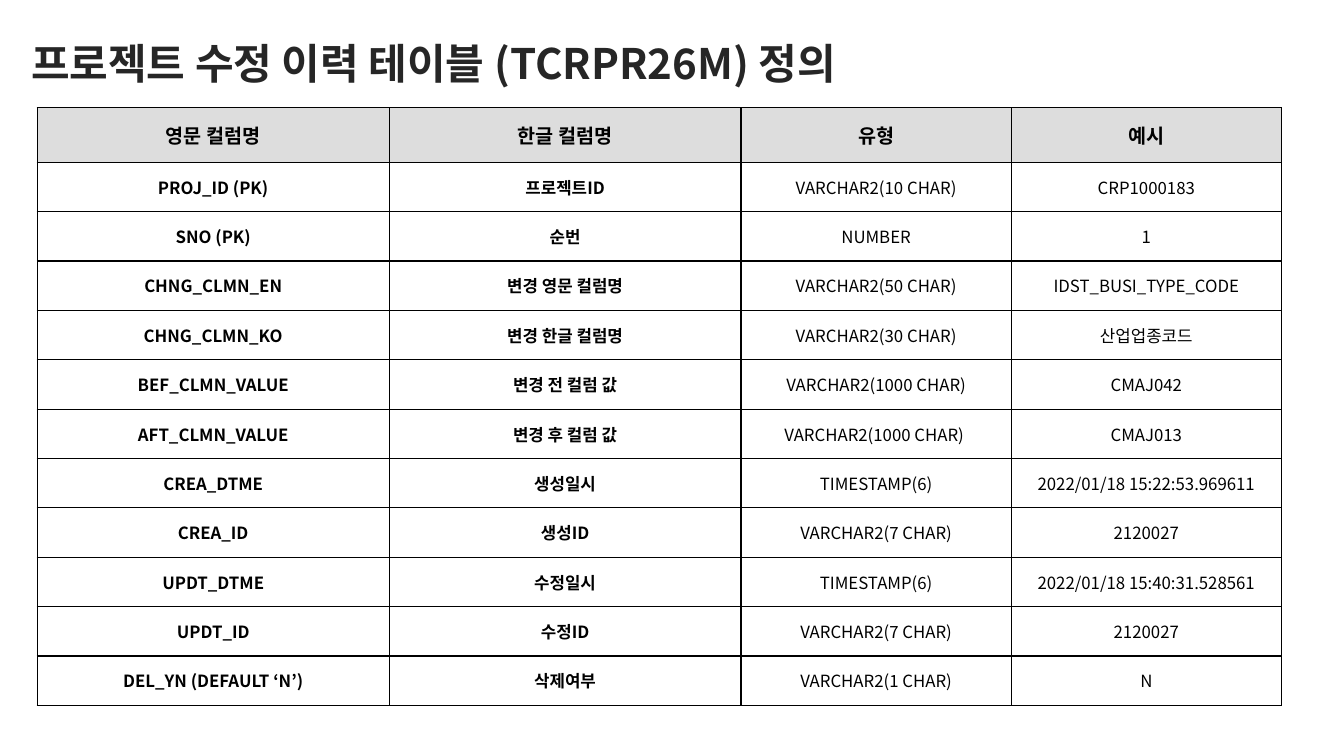
import pptx
import pptx.util
import pptx.dml.color
import pptx.enum.text
import pptx.oxml
import pptx.oxml.ns
import lxml.etree

Inches = pptx.util.Inches
FONT = "Noto Sans CJK KR"
COLUMN_WIDTHS = [3.49, 3.49, 2.68, 2.68]
HEADER_HEIGHT, ROW_HEIGHT = 0.54, 0.49
ROWS = [
    ("영문 컬럼명", "한글 컬럼명", "유형", "예시"),
    ("PROJ_ID (PK)", "프로젝트ID", "VARCHAR2(10 CHAR)", "CRP1000183"),
    ("SNO (PK)", "순번", "NUMBER", "1"),
    ("CHNG_CLMN_EN", "변경 영문 컬럼명", "VARCHAR2(50 CHAR)", "IDST_BUSI_TYPE_CODE"),
    ("CHNG_CLMN_KO", "변경 한글 컬럼명", "VARCHAR2(30 CHAR)", "산업업종코드"),
    ("BEF_CLMN_VALUE", "변경 전 컬럼 값", "VARCHAR2(1000 CHAR)", "CMAJ042"),
    ("AFT_CLMN_VALUE", "변경 후 컬럼 값", "VARCHAR2(1000 CHAR) ", "CMAJ013"),
    ("CREA_DTME", "생성일시", "TIMESTAMP(6)", "2022/01/18 15:22:53.969611"),
    ("CREA_ID", "생성ID", "VARCHAR2(7 CHAR)", "2120027"),
    ("UPDT_DTME", "수정일시", "TIMESTAMP(6)", "2022/01/18 15:40:31.528561"),
    ("UPDT_ID", "수정ID", "VARCHAR2(7 CHAR)", "2120027"),
    ("DEL_YN (DEFAULT ‘N’)", "삭제여부", "VARCHAR2(1 CHAR)", "N"),
]


def rgb(value):
    """Turn a hex string into a colour."""
    return pptx.dml.color.RGBColor.from_string(value)


class Deck:
    """Hold the style and the current slide."""

    def __init__(self, s, font):
        """Keep the slide and the font."""
        self.s = s
        self.font = font

    def put_text(self, tf, text, size, color, bold):
        """Fill a text frame with one styled paragraph."""
        tf.text = text
        p = tf.paragraphs[0]
        for r in p.runs:
            r.font.name = self.font
            r.font.size = pptx.util.Pt(size)
            r.font.bold = bold
            r.font.color.rgb = rgb(color)
            ea = lxml.etree.SubElement(r.font._element, pptx.oxml.ns.qn("a:ea"))
            ea.set("typeface", self.font)
        return p

    def title(self, text, left, top, width, height):
        """Add the slide heading."""
        sp = self.s.shapes.add_textbox(Inches(left), Inches(top), Inches(width), Inches(height))
        tf = sp.text_frame
        tf.word_wrap = True
        tf.vertical_anchor = pptx.enum.text.MSO_ANCHOR.MIDDLE
        self.put_text(tf, text, 30, "262626", True)

    def border(self, cell, color, width):
        """Draw a line on all four sides of a cell."""
        tcPr = cell._tc.get_or_add_tcPr()
        for side in ("lnL", "lnR", "lnT", "lnB"):
            tcPr.append(pptx.oxml.parse_xml(
                f'<a:{side} {pptx.oxml.ns.nsdecls("a")} w="{pptx.util.Pt(width)}">'
                f'<a:solidFill><a:srgbClr val="{color}"/></a:solidFill></a:{side}>'))

    def table(self, rows, left, top, widths, header_height, row_height):
        """Add a bordered table with a shaded header row."""
        height = header_height + row_height * (len(rows) - 1)
        table = self.s.shapes.add_table(
            len(rows), len(widths), Inches(left), Inches(top),
            Inches(sum(widths)), Inches(height)).table
        for column, width in zip(table.columns, widths):
            column.width = Inches(width)
        for i, values in enumerate(rows):
            header = i == 0
            table.rows[i].height = Inches(header_height if header else row_height)
            for j, value in enumerate(values):
                cell = table.cell(i, j)
                p = self.put_text(cell.text_frame, value, 14 if header else 12,
                                  "000000", header or j < 2)
                p.alignment = pptx.enum.text.PP_ALIGN.CENTER
                cell.vertical_anchor = pptx.enum.text.MSO_ANCHOR.MIDDLE
                self.border(cell, "000000", 1)
                cell.fill.solid()
                cell.fill.fore_color.rgb = rgb("DDDDDD" if header else "FFFFFF")


def main():
    """Build the table definition slide."""
    prs = pptx.Presentation()
    prs.slide_width, prs.slide_height = Inches(13.33), Inches(7.5)
    deck = Deck(prs.slides.add_slide(prs.slide_layouts[6]), FONT)
    deck.title("프로젝트 수정 이력 테이블 (TCRPR26M) 정의", 0.21, 0.29, 12.49, 0.67)
    deck.table(ROWS, 0.37, 1.07, COLUMN_WIDTHS, HEADER_HEIGHT, ROW_HEIGHT)
    prs.save("out.pptx")


if __name__ == "__main__":
    main()
